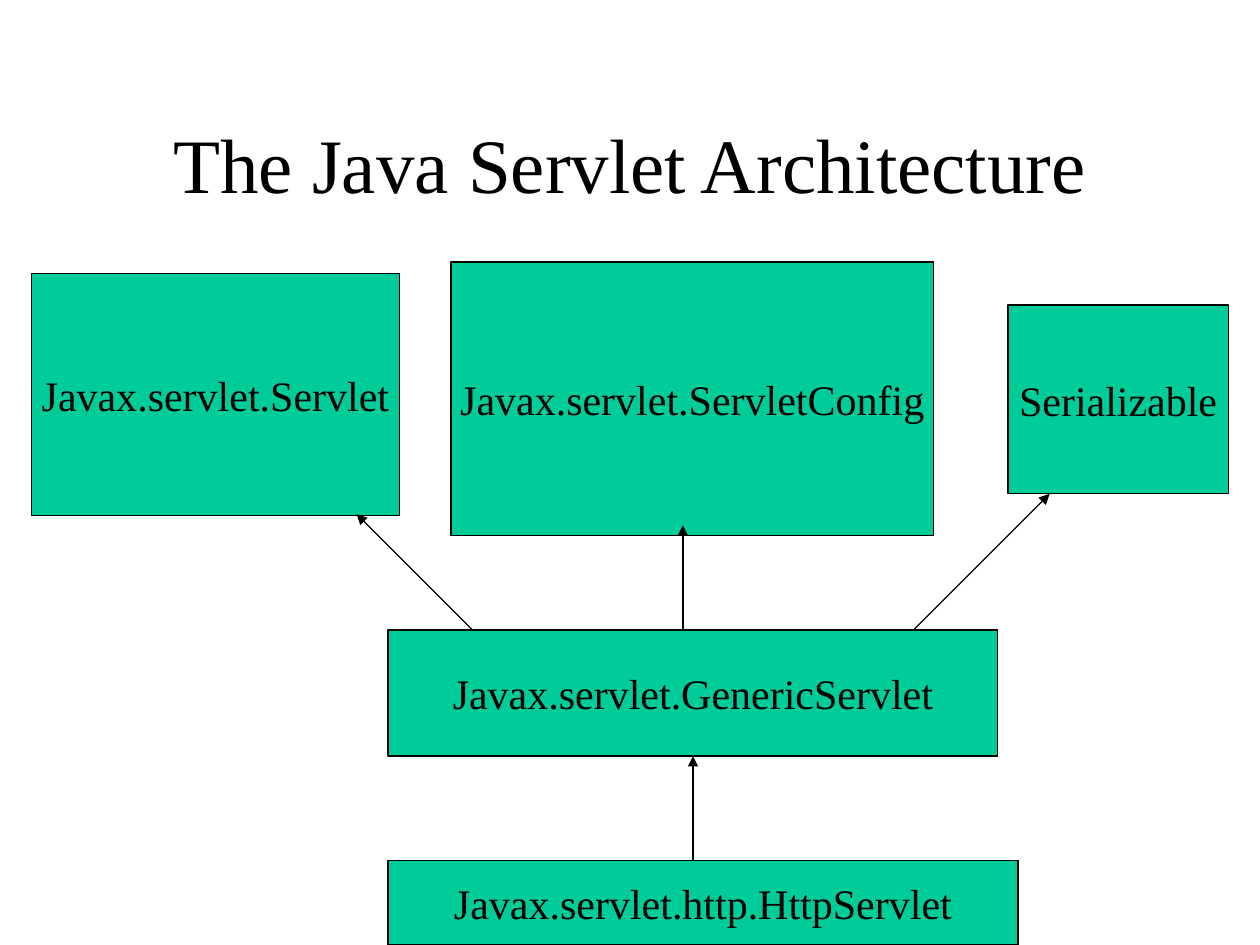
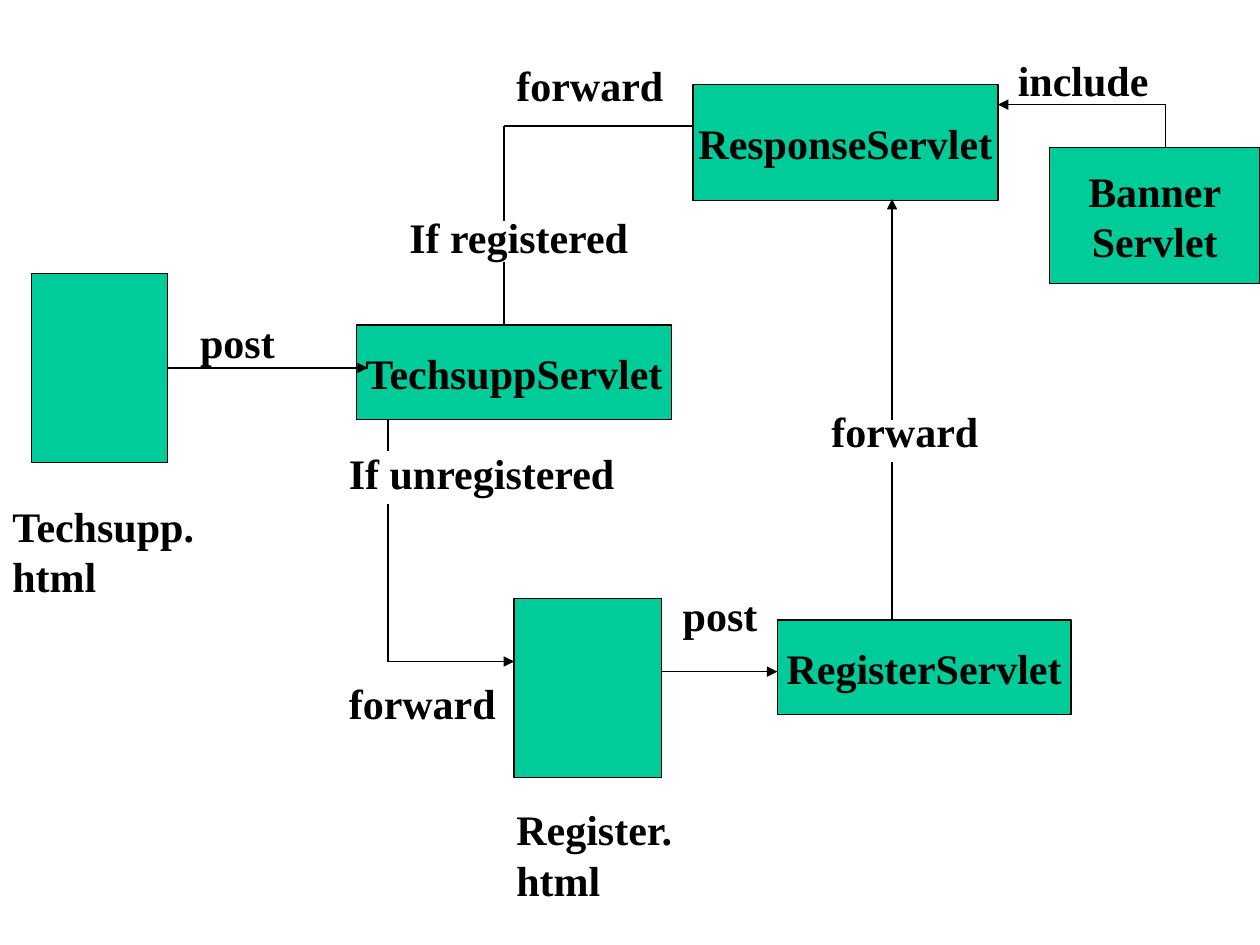
import pptx
import pptx.dml.color
import pptx.enum.shapes
import pptx.enum.text
import pptx.oxml.ns
import pptx.util
from dataclasses import dataclass
from itertools import pairwise
from lxml import etree

Inches = pptx.util.Inches
Pt = pptx.util.Pt
ALIGN = pptx.enum.text.PP_ALIGN
ANCHOR = pptx.enum.text.MSO_ANCHOR

COLORS = {"box": "00CC99", "ink": "000000", "page": "FFFFFF"}
FONT = "Times New Roman"
LINE_WIDTH = 0.75
TEXT_SIZE = 24
TITLE_SIZE = 44
LABEL_HEIGHT = 0.5
CAPTION_HEIGHT = 0.9
FORWARD_WIDTH = 1.38
BOTTOM, RIGHT = 2, 3  # connection sites of a rectangle


def rgb(name):
    return pptx.dml.color.RGBColor.from_string(COLORS[name])


def write(shape, text, size=TEXT_SIZE, bold=False, align=ALIGN.CENTER,
          anchor=ANCHOR.MIDDLE, wrap=False):
    frame = shape.text_frame
    frame.text = text
    frame.word_wrap = wrap
    frame.vertical_anchor = anchor
    for paragraph in frame.paragraphs:
        paragraph.alignment = align
        for run in paragraph.runs:
            run.font.name = FONT
            run.font.size = Pt(size)
            run.font.bold = bold
            run.font.color.rgb = rgb("ink")


def draw_outline(line):
    line.color.rgb = rgb("ink")
    line.width = Pt(LINE_WIDTH)


@dataclass
class Region:
    """Part of a slide; everything in it is placed from its top left corner."""
    slide: pptx.slide.Slide
    left: float
    top: float
    bold: bool = False

    def at(self, x, y):
        return Inches(self.left + x), Inches(self.top + y)

    def box(self, x, y, width, height, text=""):
        rectangle = self.slide.shapes.add_shape(
            pptx.enum.shapes.MSO_SHAPE.RECTANGLE, *self.at(x, y),
            Inches(width), Inches(height))
        rectangle.shadow.inherit = False
        rectangle.fill.solid()
        rectangle.fill.fore_color.rgb = rgb("box")
        draw_outline(rectangle.line)
        if text:
            write(rectangle, text, bold=self.bold)
        return rectangle

    def label(self, x, y, width, text, height=LABEL_HEIGHT, wrap=False):
        caption = self.slide.shapes.add_textbox(
            *self.at(x, y), Inches(width), Inches(height))
        write(caption, text, bold=self.bold, align=ALIGN.LEFT,
              anchor=ANCHOR.TOP, wrap=wrap)
        caption.text_frame.auto_size = (
            pptx.enum.text.MSO_AUTO_SIZE.SHAPE_TO_FIT_TEXT)

    def route(self, *points, arrow=True):
        """Join the points by straight lines and return the last one."""
        for start, end in pairwise(points):
            segment = self.slide.shapes.add_connector(
                pptx.enum.shapes.MSO_CONNECTOR.STRAIGHT,
                *self.at(*start), *self.at(*end))
            draw_outline(segment.line)
            properties = segment._element.spPr
            etree.SubElement(properties, pptx.oxml.ns.qn("a:effectLst"))
        if arrow:
            outline = properties.find(pptx.oxml.ns.qn("a:ln"))
            etree.SubElement(outline, pptx.oxml.ns.qn("a:tailEnd"),
                             type="triangle")
        return segment


# Class hierarchy

def add_interfaces(region):
    region.box(0, 0.09, 2.92, 1.92, "Javax.servlet.Servlet")
    region.box(3.33, 0, 3.83, 2.17, "Javax.servlet.ServletConfig")
    region.box(7.75, 0.34, 1.75, 1.5, "Serializable")


def add_implementations(region):
    generic = region.box(0, 0, 4.84, 1, "Javax.servlet.GenericServlet")
    region.box(0, 1.83, 5, 0.67, "Javax.servlet.http.HttpServlet")
    # Arrows up to the three interfaces
    region.route((0.67, 0), (-0.25, -0.92))
    region.route((2.34, 0), (2.34, -0.83))
    region.route((4.17, 0), (5.25, -1.08))
    # HttpServlet extends GenericServlet
    region.route((2.42, 1.83), (2.42, 1)).end_connect(generic, BOTTOM)


def build_architecture(deck):
    slide = deck.slides.add_slide(deck.slide_layouts.get_by_name("Title Only"))
    title = slide.shapes.title
    title.left, title.top = Inches(0.75), Inches(0.67)
    title.width, title.height = Inches(8.5), Inches(1.25)
    write(title, "The Java Servlet Architecture", TITLE_SIZE, wrap=True)
    add_interfaces(Region(slide, 0.25, 2.08))
    add_implementations(Region(slide, 3.08, 5))
    return slide


# Request flow

def add_support_request(region):
    support_page = region.box(0.25, 0, 1.08, 1.5)
    region.label(0, 1.75, 1.68, "Techsupp.\nhtml", CAPTION_HEIGHT, wrap=True)
    region.box(2.83, 0.41, 2.5, 0.75, "TechsuppServlet")
    region.label(1.49, 0.29, 0.79, "post")
    post = region.route((1.33, 0.75), (2.92, 0.75))
    post.begin_connect(support_page, RIGHT)


def add_response(region):
    region.box(0, 0.29, 2.42, 0.92, "ResponseServlet")
    region.box(2.83, 0.79, 1.67, 1.08, "Banner\nServlet")
    region.route((3.75, 0.79), (3.75, 0.45), (2.42, 0.45))
    region.label(2.48, 0, 1.24, "include")


def add_registered_branch(region):
    region.label(0, 1.25, 1.95, "If registered")
    region.route((0.85, 2.2), (0.85, 1.7), arrow=False)
    region.route((0.85, 1.37), (0.85, 0.62), (2.35, 0.62), arrow=False)
    region.label(0.85, 0.04, FORWARD_WIDTH, "forward")


def add_unregistered_branch(region):
    region.route((0.41, 0), (0.41, 0.25), arrow=False)
    region.label(0, 0.17, 2.32, "If unregistered")
    region.route((0.41, 0.67), (0.41, 1.92), (1.41, 1.92))
    region.label(0, 2, FORWARD_WIDTH, "forward")
    # Registration page
    region.box(1.41, 1.42, 1.17, 1.42)
    region.label(1.33, 3, 1.47, "Register.\nhtml", CAPTION_HEIGHT)


def add_registration(region):
    region.box(0.92, 1.75, 2.33, 0.75, "RegisterServlet")
    region.route((0, 2.16), (0.92, 2.16))
    region.label(0.07, 1.46, 0.79, "post")
    # Forward to the response
    region.route((1.83, 1.75), (1.83, 0.5), arrow=False)
    region.label(1.25, 0, FORWARD_WIDTH, "forward")
    region.route((1.83, 0.16), (1.83, -1.59))


def build_request_flow(deck):
    slide = deck.slides.add_slide(deck.slide_layouts.get_by_name("Blank"))
    for add_part, left, top in (
        (add_support_request, 0, 2.17),
        (add_response, 5.5, 0.38),
        (add_registered_branch, 3.15, 0.38),
        (add_unregistered_branch, 2.67, 3.33),
        (add_registration, 5.25, 3.17),
    ):
        add_part(Region(slide, left, top, bold=True))
    return slide


def main():
    deck = pptx.Presentation()
    deck.slide_width, deck.slide_height = Inches(10), Inches(7.5)
    background = deck.slide_master.background.fill
    background.solid()
    background.fore_color.rgb = rgb("page")
    build_architecture(deck)
    build_request_flow(deck)
    deck.save("out.pptx")


if __name__ == "__main__":
    main()
